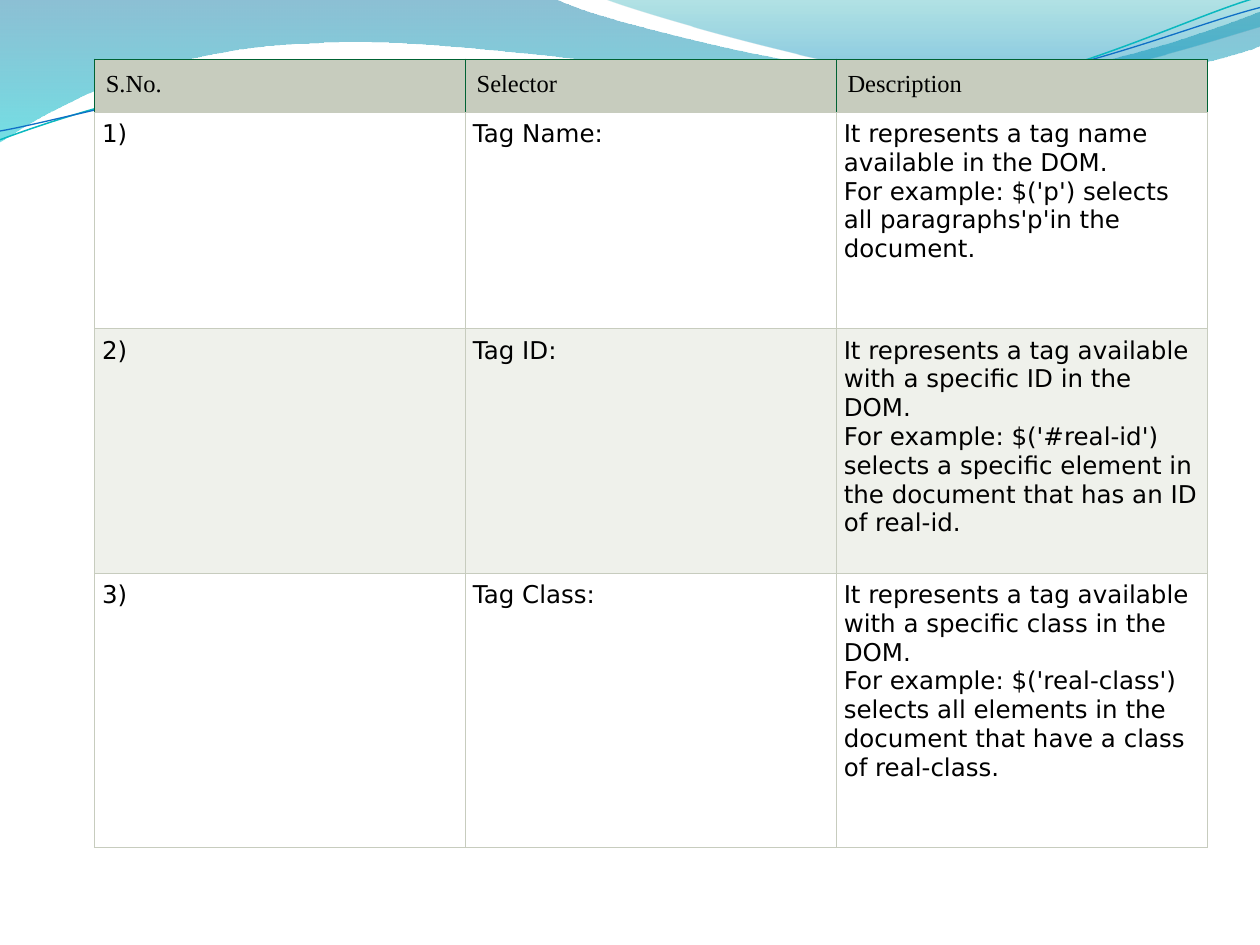
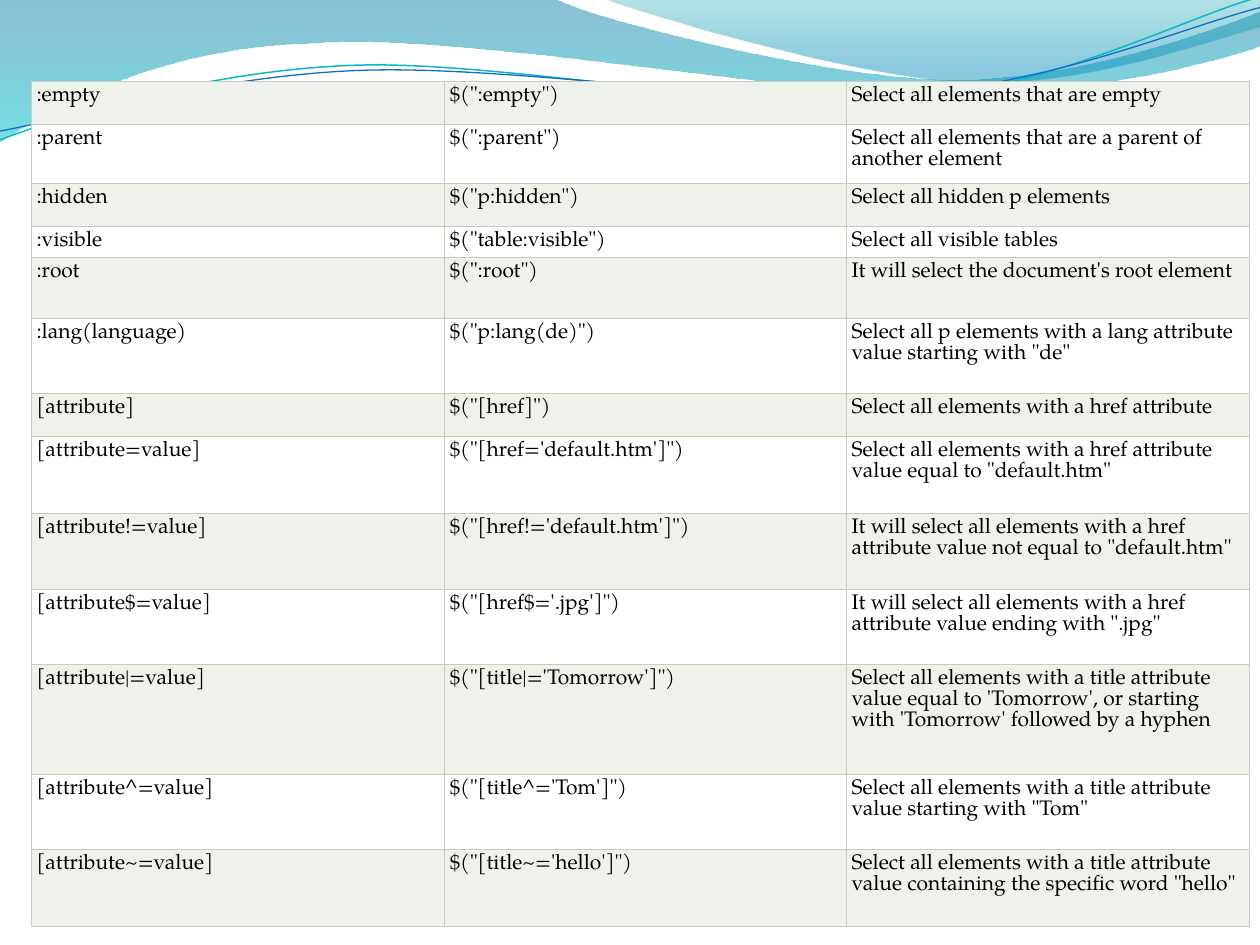
"""Builds two slides of jQuery selector tables under a shared wave band."""
from copy import deepcopy

from lxml import etree
from pptx import Presentation
from pptx.dml.color import RGBColor
from pptx.oxml.ns import qn
from pptx.util import Inches, Pt

BLACK = RGBColor(0x00, 0x00, 0x00)
WHITE = RGBColor(0xFF, 0xFF, 0xFF)
SAGE = RGBColor(0xC7, 0xCC, 0xBE)
PALE_SAGE = RGBColor(0xEF, 0xF1, 0xEB)
FOREST = RGBColor(0x00, 0x62, 0x33)
DEEP_BLUE = RGBColor(0x00, 0x74, 0xA1)
AQUA = RGBColor(0x00, 0xC6, 0xCF)
TEAL = RGBColor(0x00, 0xA1, 0xA9)
SKY = RGBColor(0x00, 0x8B, 0xBF)
LINE_TEAL = RGBColor(0x0A, 0xB8, 0xBF)
LINE_BLUE = RGBColor(0x0F, 0x6F, 0xC6)

HEADER_FONT = "Times New Roman"
BASICS_FONT = "DejaVu Sans"
FILTER_FONT = "TeX Gyre Pagella"
BORDER_WIDTH = Pt(0.75)

# Each path is a start point followed by line ends (2 numbers) and curves (6).
LARGE_WAVE = [
    (0, 0), (4.4, -0.01),
    (4.76, 0.17, 6.64, 0.63, 7.58, 0.63), (8.53, 0.63, 9.58, 0.26, 10, 0.09),
    (10.01, 0.36),
    (9.83, 0.44, 8.7, 0.76, 7.46, 0.75), (6.22, 0.75, 3.82, 0.28, 2.57, 0.34),
    (1.29, 0.36, 0.46, 0.83, -0.01, 1.13), (0, 0),
]
RIGHT_WAVE = [
    (4.79, -0.01),
    (5.09, 0.11, 6.82, 0.62, 7.69, 0.65), (8.56, 0.69, 9.61, 0.32, 10, 0.21),
    (10, 0), (4.79, -0.01),
]
TEAL_STRAND = [
    (0, 1.11),
    (0.48, 0.93, 1.58, 0.57, 2.77, 0.52), (3.95, 0.47, 5.93, 0.89, 7.13, 0.8),
    (8.33, 0.71, 9.38, 0.15, 9.98, -0.02),
]
BLUE_STRAND = [
    (0, 1.04),
    (0.47, 0.96, 1.64, 0.61, 2.83, 0.56), (4.03, 0.51, 5.97, 0.84, 7.17, 0.75),
    (8.36, 0.67, 9.41, 0.21, 10, 0.06),
]

BASIC_SELECTORS = [
    ("S.No.", "Selector", "Description"),
    ("1)", "Tag Name:",
     "It represents a tag name available in the DOM.\n"
     "For example: $('p') selects all paragraphs'p'in the document."),
    ("2)", "Tag ID:",
     "It represents a tag available with a specific ID in the DOM.\n"
     "For example: $('#real-id') selects a specific element in the document "
     "that has an ID of real-id."),
    ("3)", "Tag Class:",
     "It represents a tag available with a specific class in the DOM.\n"
     "For example: $('real-class') selects all elements in the document "
     "that have a class of real-class."),
]
FILTER_SELECTORS = [
    (":empty", '$(":empty")', "Select all elements that are empty"),
    (":parent", '$(":parent")',
     "Select all elements that are a parent of another element"),
    (":hidden", '$("p:hidden")', "Select all hidden p elements"),
    (":visible", '$("table:visible")', "Select all visible tables"),
    (":root", '$(":root")', "It will select the document's root element"),
    (":lang(language)", '$("p:lang(de)")',
     'Select all p elements with a lang attribute value starting with "de"'),
    ("[attribute]", '$("[href]")', "Select all elements with a href attribute"),
    ("[attribute=value]", "$(\"[href='default.htm']\")",
     'Select all elements with a href attribute value equal to "default.htm"'),
    ("[attribute!=value]", "$(\"[href!='default.htm']\")",
     "It will select all elements with a href attribute value not equal to "
     '"default.htm"'),
    ("[attribute$=value]", "$(\"[href$='.jpg']\")",
     "It will select all elements with a href attribute value ending with "
     '".jpg"'),
    ("[attribute|=value]", "$(\"[title|='Tomorrow']\")",
     "Select all elements with a title attribute value equal to 'Tomorrow', "
     "or starting with 'Tomorrow' followed by a hyphen"),
    ("[attribute^=value]", "$(\"[title^='Tom']\")",
     'Select all elements with a title attribute value starting with "Tom"'),
    ("[attribute~=value]", "$(\"[title~='hello']\")",
     "Select all elements with a title attribute value containing the "
     'specific word "hello"'),
]
FILTER_HEIGHTS = [0.34, 0.47, 0.34, 0.24, 0.48, 0.6, 0.34,
                  0.61, 0.6, 0.6, 0.87, 0.6, 0.61]


def bend(outline, segments):
    """Turn the straight pieces of an outline into its cubic curves."""
    for line, segment in zip(list(outline._element.iter(qn("a:lnTo"))), segments):
        if len(segment) == 2:
            continue
        curve = etree.Element(qn("a:cubicBezTo"))
        for x, y in zip(segment[::2], segment[1::2]):
            etree.SubElement(curve, qn("a:pt"), x=str(Inches(x) - outline.left),
                             y=str(Inches(y) - outline.top))
        line.getparent().replace(line, curve)


def add_outline(slide, path, close):
    """Draw a path as a freeform on the slide's master."""
    start, *segments = path
    builder = slide.shapes.build_freeform(*map(Inches, start))
    ends = [(Inches(segment[-2]), Inches(segment[-1])) for segment in segments]
    builder.add_line_segments(ends, close=close)
    outline = builder.convert_to_shape()
    bend(outline, segments)
    outline.shadow.inherit = False
    slide.slide_layout.slide_master.shapes._spTree.append(outline._element)
    return outline


def add_wave(slide, path, stops):
    """Add a wave filled downwards with (position, colour, opacity) stops."""
    wave = add_outline(slide, path, close=True)
    wave.line.fill.background()
    wave.fill.gradient()
    wave.fill.gradient_angle = 270
    stop_list = wave._element.spPr.find(qn("a:gradFill")).find(qn("a:gsLst"))
    for old_stop in list(stop_list):
        stop_list.remove(old_stop)
    for position, color, opacity in stops:
        stop = etree.SubElement(stop_list, qn("a:gs"), pos=str(position * 1000))
        tint = etree.SubElement(stop, qn("a:srgbClr"), val=str(color))
        etree.SubElement(tint, qn("a:alpha"), val=str(opacity * 1000))


def add_strand(slide, path, color, width):
    """Add a thin open curve."""
    strand = add_outline(slide, path, close=False)
    strand.fill.background()
    strand.line.color.rgb = color
    strand.line.width = Pt(width)


def add_band(slide):
    """Put the waves and strands shared by all slides on the master."""
    add_wave(slide, LARGE_WAVE, [(0, DEEP_BLUE, 45), (100, AQUA, 55)])
    add_wave(slide, RIGHT_WAVE, [(0, TEAL, 30), (80, SKY, 45)])
    add_strand(slide, TEAL_STRAND, LINE_TEAL, 0.85)
    add_strand(slide, BLUE_STRAND, LINE_BLUE, 0.75)


def write(frame, text, font, size, color=BLACK, line_spacing=None):
    """Write text as one formatted paragraph, keeping its line breaks."""
    paragraph = frame.paragraphs[0]
    paragraph.text = text
    paragraph.line_spacing = line_spacing
    for run in paragraph.runs:
        run.font.name = font
        run.font.size = Pt(size)
        run.font.color.rgb = color
    for line_break in paragraph._p.findall(qn("a:br")):
        line_break.append(deepcopy(paragraph.runs[0].font._element))


def set_borders(cell, side_color):
    """Rule a cell: sides and top in one colour, bottom always sage."""
    properties = cell._tc.get_or_add_tcPr()
    for side in ("L", "R", "T", "B"):
        border = etree.SubElement(properties, qn(f"a:ln{side}"), w=str(BORDER_WIDTH))
        fill = etree.SubElement(border, qn("a:solidFill"))
        color = SAGE if side == "B" else side_color
        etree.SubElement(fill, qn("a:srgbClr"), val=str(color))


def format_cell(cell, text, fill, inset, border=SAGE, **text_format):
    """Fill in and format one table cell."""
    set_borders(cell, border)
    cell.fill.solid()
    cell.fill.fore_color.rgb = fill
    cell.margin_left = cell.margin_right = Inches(inset)
    cell.margin_top = cell.margin_bottom = Inches(inset)
    write(cell.text_frame, text, **text_format)


def add_selector_table(slide, rows, left, top, widths, heights, body, header=None):
    """Add a banded table whose first row may have a header format."""
    table = slide.shapes.add_table(
        len(rows), len(widths), Inches(left), Inches(top),
        Inches(sum(widths)), Inches(sum(heights))).table
    table.first_row = table.horz_banding = False
    for column, width in zip(table.columns, widths):
        column.width = Inches(width)
    for index, (row, height, texts) in enumerate(zip(table.rows, heights, rows)):
        row.height = Inches(height)
        cell_format = {"fill": WHITE if index % 2 else PALE_SAGE, **body}
        if header and index == 0:
            cell_format = header
        for cell, text in zip(row.cells, texts):
            format_cell(cell, text, **cell_format)


def main():
    """Build and save the presentation."""
    deck = Presentation()
    deck.slide_width, deck.slide_height = Inches(10), Inches(7.5)
    blank = deck.slide_layouts[6]

    basics = deck.slides.add_slide(blank)
    add_band(basics)
    add_selector_table(
        basics, BASIC_SELECTORS, 0.75, 0.47, [8.83 / 3] * 3,
        [0.42, 1.72, 1.94, 2.18],
        body={"inset": 0.06, "font": BASICS_FONT, "size": 14},
        header={"fill": SAGE, "border": FOREST, "inset": 0.09,
                "font": HEADER_FONT, "size": 14})

    filters = deck.slides.add_slide(blank)
    add_selector_table(
        filters, FILTER_SELECTORS, 0.25, 0.65, [3.28, 3.19, 3.2], FILTER_HEIGHTS,
        body={"inset": 0.04, "font": FILTER_FONT, "size": 12,
              "line_spacing": Pt(12)})

    deck.save("out.pptx")


if __name__ == "__main__":
    main()
